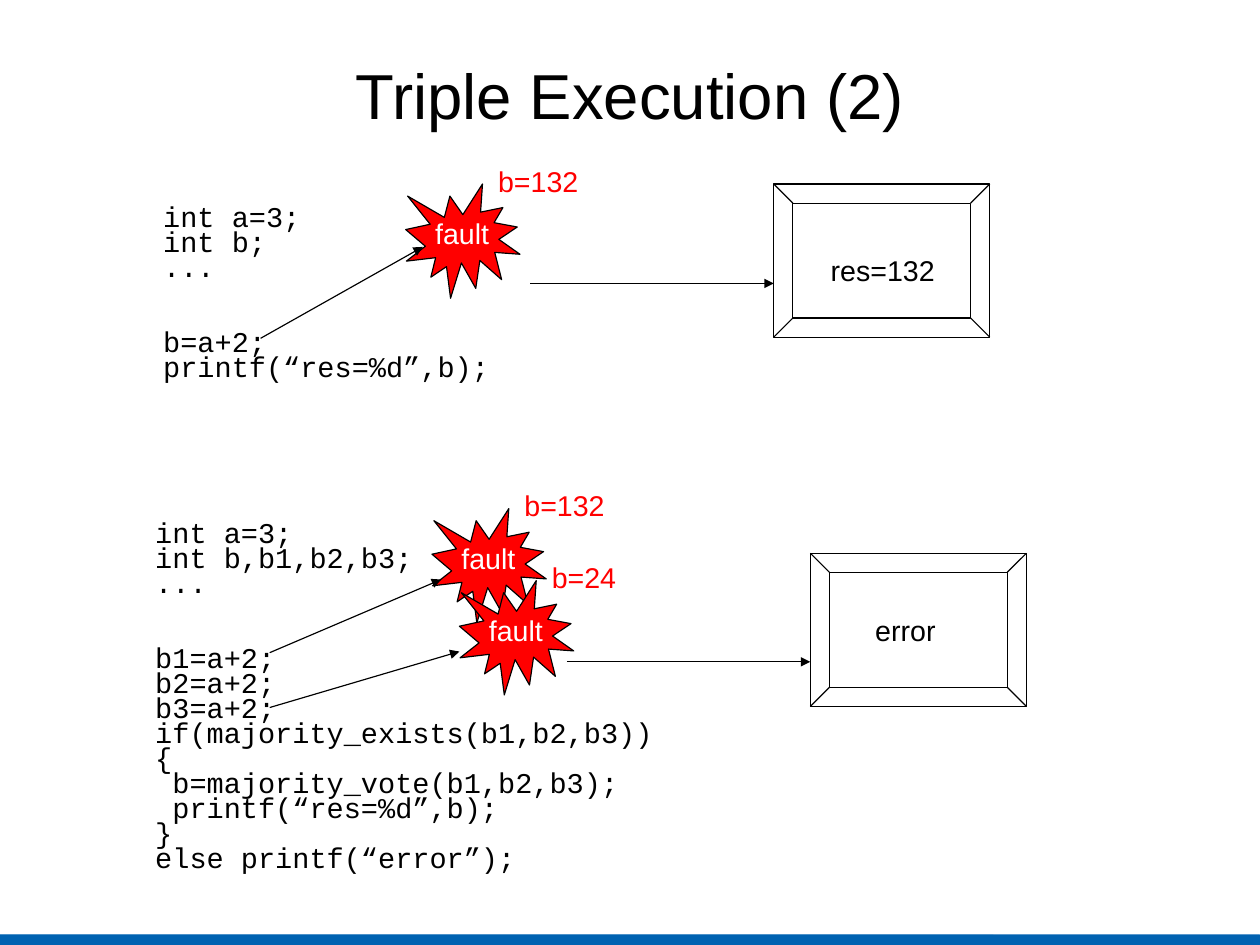
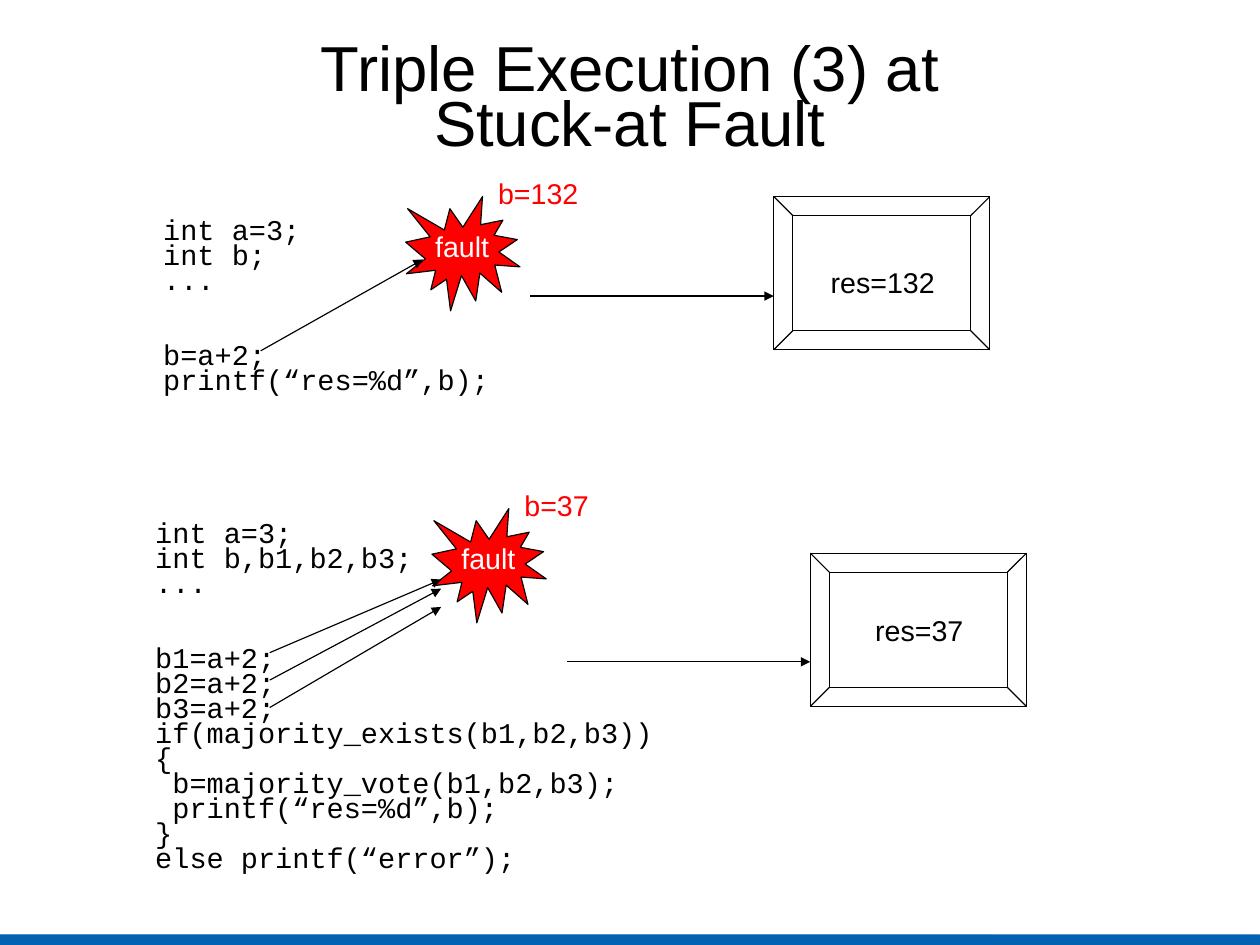
from dataclasses import dataclass

from lxml.etree import SubElement
from pptx import Presentation
from pptx.dml.color import RGBColor
from pptx.enum.shapes import MSO_CONNECTOR as Connector, MSO_SHAPE as Preset
from pptx.enum.text import MSO_ANCHOR as Anchor, PP_ALIGN as Align
from pptx.oxml.ns import qn
from pptx.util import Emu, Inches, Pt


@dataclass(frozen=True)
class Theme:
    ink: RGBColor = RGBColor(0x00, 0x00, 0x00)
    paper: RGBColor = RGBColor(0xFF, 0xFF, 0xFF)
    fault: RGBColor = RGBColor(0xFF, 0x00, 0x00)
    band: RGBColor = RGBColor(0x00, 0x62, 0xB1)
    sans: str = "Arial"
    mono: str = "Courier New"
    title_size: float = 40
    body_size: float = 18
    line_width: float = 0.75
    line_spacing: float = 0.72
    paragraph_gap: float = 0.1
    block_gap: float = 31.6


THEME = Theme()
SLIDE_WIDTH, SLIDE_HEIGHT = Emu(10080625), Emu(7559675)
BAND_TOP, BAND_WIDTH, BAND_HEIGHT = 8.18, 11.02, 0.09
BURST_SIZE = 1
SCREEN_WIDTH, SCREEN_HEIGHT = 1.89, 1.34
ARROW_LENGTH = 2.13

PLAIN_CODE = (
    ("int a=3;", "int b;", "..."),
    ("b=a+2;", "printf(“res=%d”,b);"),
)
VOTED_CODE = (
    ("int a=3;", "int b,b1,b2,b3;", "..."),
    (
        "b1=a+2;",
        "b2=a+2;",
        "b3=a+2;",
        "if(majority_exists(b1,b2,b3))",
        "{",
        " b=majority_vote(b1,b2,b3);",
        " printf(“res=%d”,b);",
        "}",
        "else printf(“error”);",
    ),
)


def style_paragraph(paragraph, align=Align.LEFT):
    paragraph.alignment = align
    paragraph.line_spacing = THEME.line_spacing
    paragraph.space_before = paragraph.space_after = Pt(THEME.paragraph_gap)


def add_run(paragraph, text, color, size=THEME.body_size, font=THEME.sans):
    run = paragraph.add_run()
    run.text = text
    run.font.name = font
    run.font.size = Pt(size)
    run.font.color.rgb = color


def add_text_frame(slide, left, top, width, height):
    shape = slide.shapes.add_textbox(
        Inches(left), Inches(top), Inches(width), Inches(height))
    shape.text_frame.word_wrap = True
    return shape.text_frame


def add_preset(slide, preset, left, top, width, height, line, fill=None):
    shape = slide.shapes.add_shape(
        preset, Inches(left), Inches(top), Inches(width), Inches(height))
    shape.shadow.inherit = False
    shape.line.color.rgb = line
    shape.line.width = Pt(THEME.line_width)
    if fill is None:
        shape.fill.background()
    else:
        shape.fill.solid()
        shape.fill.fore_color.rgb = fill
    return shape


def add_arrow(slide, start, end):
    arrow = slide.shapes.add_connector(
        Connector.STRAIGHT, *(Inches(value) for value in (*start, *end)))
    arrow.line.color.rgb = THEME.ink
    arrow.line.width = Pt(THEME.line_width)
    properties = arrow._element.spPr
    SubElement(properties.find(qn("a:ln")), qn("a:tailEnd"), type="triangle")
    SubElement(properties, qn("a:effectLst"))


def add_label(slide, left, top, text, color):
    frame = add_text_frame(slide, left, top, 1.3, 0.32)
    style_paragraph(frame.paragraphs[0])
    add_run(frame.paragraphs[0], text, color)


def add_code(slide, left, top, width, height, blocks):
    frame = add_text_frame(slide, left, top, width, height)
    paragraph = frame.paragraphs[0]
    for block_index, block in enumerate(blocks):
        for line_index, line in enumerate(block):
            if block_index or line_index:
                paragraph = frame.add_paragraph()
            style_paragraph(paragraph)
            if block_index and not line_index:
                paragraph.space_before = Pt(THEME.block_gap)
            add_run(paragraph, line, THEME.ink, font=THEME.mono)


def add_fault(slide, left, top, value):
    burst = add_preset(slide, Preset.EXPLOSION1, left, top, BURST_SIZE,
                       BURST_SIZE, THEME.ink, THEME.fault)
    frame = burst.text_frame
    frame.word_wrap = False
    frame.vertical_anchor = Anchor.MIDDLE
    style_paragraph(frame.paragraphs[0], Align.CENTER)
    add_run(frame.paragraphs[0], "fault", THEME.paper)
    add_label(slide, left + 0.71, top - 0.15, value, THEME.fault)


def add_output(slide, left, top, text, text_offset, arrow_offset):
    add_preset(slide, Preset.BEVEL, left, top, SCREEN_WIDTH, SCREEN_HEIGHT,
               THEME.ink)
    add_label(slide, left + text_offset[0], top + text_offset[1], text,
              THEME.ink)
    arrow_top = top + arrow_offset
    add_arrow(slide, (left - ARROW_LENGTH, arrow_top), (left, arrow_top))


def add_plain_run(slide, left, top):
    add_code(slide, left, top + 0.31, 3.3, 1.63, PLAIN_CODE)
    add_fault(slide, left + 2.22, top + 0.15, "b=132")
    add_arrow(slide, (left + 0.95, top + 1.5), (left + 2.37, top + 0.7))
    add_output(slide, left + 5.44, top + 0.15, "res=132", (0.4, 0.63), 0.87)


def add_voted_run(slide, left, top, faults, arrows, result):
    add_code(slide, left, top + 0.21, 4.88, 3.17, VOTED_CODE)
    add_output(slide, left + 5.83, top + 0.52, result, (0.47, 0.55), 0.95)
    for index, value in enumerate(faults):
        add_fault(slide, left + 2.52 + 0.24 * index,
                  top + 0.13 + 0.63 * index, value)
    for statement, (end_left, end_top) in arrows:
        add_arrow(slide, (left + 1.1, top + 1.39 + 0.24 * statement),
                  (left + end_left, top + end_top))


def add_title(slide, lines):
    frame = add_text_frame(slide, 0.81, 0.26, 9.4, 1.28)
    frame.margin_left = frame.margin_right = 0
    frame.margin_top = frame.margin_bottom = 0
    frame.vertical_anchor = Anchor.MIDDLE
    paragraph = frame.paragraphs[0]
    style_paragraph(paragraph, Align.CENTER)
    for index, line in enumerate(lines):
        if index:
            paragraph.add_line_break()
        add_run(paragraph, line, THEME.ink, THEME.title_size)


def add_band(slide):
    band = add_preset(slide, Preset.ROUNDED_RECTANGLE, 0, BAND_TOP,
                      BAND_WIDTH, BAND_HEIGHT, THEME.band, THEME.band)
    band.adjustments[0] = 0.02


def add_execution_slide(presentation, title, plain_top, faults, arrows, result):
    slide = presentation.slides.add_slide(presentation.slide_layouts[6])
    slide.background.fill.solid()
    slide.background.fill.fore_color.rgb = THEME.paper
    add_band(slide)
    add_title(slide, title)
    add_plain_run(slide, 1.33, plain_top)
    add_voted_run(slide, 1.26, 4.32, faults, arrows, result)


def main():
    presentation = Presentation()
    presentation.slide_width = SLIDE_WIDTH
    presentation.slide_height = SLIDE_HEIGHT
    add_execution_slide(
        presentation, ("Triple Execution (2)",), 1.46, ("b=132", "b=24"),
        ((0, (2.6, 0.75)), (2, (2.76, 1.38))), "error")
    add_execution_slide(
        presentation, ("Triple Execution (3) at", "Stuck-at Fault"), 1.57,
        ("b=37",),
        ((0, (2.6, 0.75)), (1, (2.6, 0.83)), (2, (2.6, 0.99))), "res=37")
    presentation.save("out.pptx")


if __name__ == "__main__":
    main()
